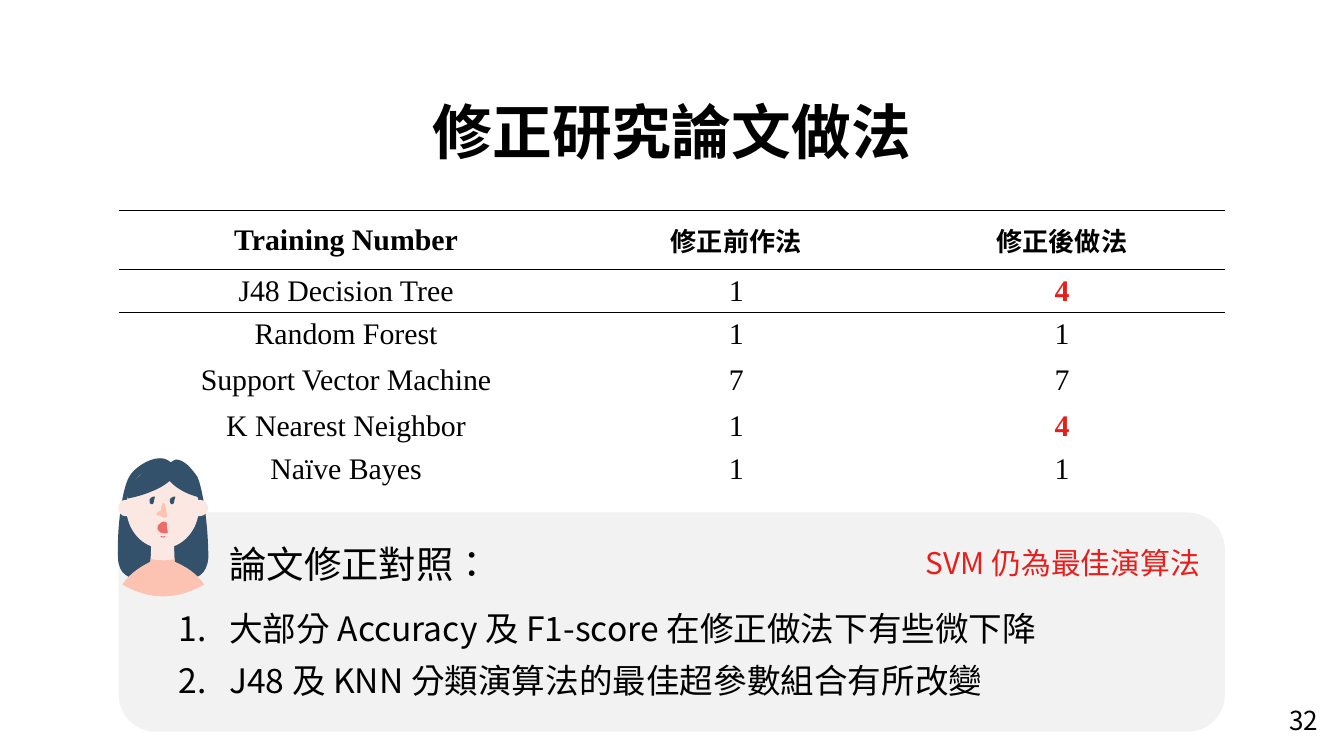
from lxml.etree import SubElement
from pptx import Presentation
from pptx.dml.color import RGBColor
from pptx.enum.lang import MSO_LANGUAGE_ID
from pptx.enum.shapes import MSO_SHAPE
from pptx.enum.text import MSO_ANCHOR, MSO_AUTO_SIZE, PP_ALIGN
from pptx.oxml.ns import qn
from pptx.util import Pt

COLORS = {"black": "000000", "red": "E71F1C", "panel": "F2F2F2", "hair": "34516C",
          "skin": "FCE8E3", "blush": "FDC3B2", "lips": "EF6C6A"}
SANS, SERIF = "Noto Sans CJK JP", "Times New Roman"
NO_STYLE = "{2D5ABB26-0587-4C30-8999-92F81FD0307C}"


def add_run(paragraph, text, size, font=SANS, color="black", bold=False):
    run = paragraph.add_run()
    run.text = text
    run.font.size, run.font.bold, run.font.name = Pt(size), bold, font
    run.font.language_id = MSO_LANGUAGE_ID.TRADITIONAL_CHINESE
    run.font.color.rgb = RGBColor.from_string(COLORS[color])
    SubElement(run.font._element, qn("a:ea"), typeface=font)


def draw_part(shapes, color, start, segments, rotation=0, shift=0):
    corners = [(Pt(x + shift), Pt(y)) for x, y in [start] + [s[-2:] for s in segments]]
    builder = shapes.build_freeform(*corners[0])
    builder.add_line_segments(corners[1:], close=True)
    part = builder.convert_to_shape()
    for segment, node in zip(segments, list(part._element.iter(qn("a:lnTo")))):
        if len(segment) == 6:
            node.tag = qn("a:cubicBezTo")
            end = node[0]
            for x, y in (segment[:2], segment[2:4]):
                control = SubElement(node, qn("a:pt"), x=str(Pt(x + shift) - part.left),
                                     y=str(Pt(y) - part.top))
                end.addprevious(control)
    part.rotation = rotation
    part.shadow.inherit = False
    part.fill.solid()
    part.fill.fore_color.rgb = RGBColor.from_string(COLORS[color])
    part.line.fill.background()


prs = Presentation()
prs.slide_width, prs.slide_height = Pt(720), Pt(405)
slide = prs.slides.add_slide(prs.slide_layouts[1])

title = slide.shapes.title
title.left, title.top, title.width, title.height = Pt(0), Pt(47), Pt(720), Pt(46)
title.text_frame.auto_size = MSO_AUTO_SIZE.NONE
title.text_frame.paragraphs[0].alignment = PP_ALIGN.CENTER
add_run(title.text_frame.paragraphs[0], "修正研究論文做法", 32, bold=True)

results = [
    ("Training Number", "修正前作法", "修正後做法"),
    ("J48 Decision Tree", "1", "4"),
    ("Random Forest", "1", "1"),
    ("Support Vector Machine", "7", "7"),
    ("K Nearest Neighbor", "1", "4"),
    ("Naïve Bayes", "1", "1"),
]
row_heights = [31.7, 23, 23, 26.6, 23, 23]
table = slide.shapes.add_table(6, 3, Pt(63.6), Pt(112.8), Pt(592.6), Pt(150.3)).table
table.first_row = table.horz_banding = False
table._tbl.tblPr.find(qn("a:tableStyleId")).text = NO_STYLE
for column, width in zip(table.columns, (243.6, 174.5, 174.5)):
    column.width = Pt(width)
for r, (values, height) in enumerate(zip(results, row_heights)):
    table.rows[r].height = Pt(height)
    for c, value in enumerate(values):
        cell = table.cell(r, c)
        cell.vertical_anchor = MSO_ANCHOR.MIDDLE
        if r > 0:
            cell.margin_left = cell.margin_right = Pt(5.8)
            cell.margin_top = cell.margin_bottom = Pt(0)
        for edge in [("lnT", "lnB"), ("lnT",)][r] if r < 2 else ():
            border = SubElement(cell._tc.get_or_add_tcPr(), qn(f"a:{edge}"), w=str(Pt(1)))
            SubElement(SubElement(border, qn("a:solidFill")), qn("a:srgbClr"),
                       val=COLORS["black"])
        cell.fill.background()
        paragraph = cell.text_frame.paragraphs[0]
        paragraph.alignment = PP_ALIGN.CENTER
        chinese_header = r == 0 and c > 0
        changed = r > 0 and c == 2 and value != values[1]
        add_run(paragraph, value, 14 if chinese_header else 16,
                SANS if chinese_header else SERIF,
                "red" if changed else "black", r == 0 or changed)

panel = slide.shapes.add_shape(MSO_SHAPE.ROUNDED_RECTANGLE, Pt(63.6), Pt(274.5),
                               Pt(592.6), Pt(117.5))
panel.adjustments[0] = 0.17
panel.shadow.inherit = False
panel.fill.solid()
panel.fill.fore_color.rgb = RGBColor.from_string(COLORS["panel"])
panel.line.fill.background()

findings = slide.placeholders[1]
findings.left, findings.top, findings.width, findings.height = Pt(88.6), Pt(286.3), Pt(542), Pt(93.6)
findings.element.addprevious(panel.element)
findings.text_frame.auto_size = MSO_AUTO_SIZE.NONE
lines = [("論文修正對照：", 20, 12),
         ("大部分 Accuracy 及 F1-score 在修正做法下有些微下降", 18, 6),
         ("J48 及 KNN 分類演算法的最佳超參數組合有所改變", 18, 6)]
for i, (text, size, after) in enumerate(lines):
    paragraph = findings.text_frame.add_paragraph() if i else findings.text_frame.paragraphs[0]
    paragraph.space_before, paragraph.space_after = Pt(0), Pt(after)
    properties = paragraph._p.get_or_add_pPr()
    properties.set("marL", str(Pt(27)))
    properties.set("indent", str(Pt(-27 if i else 0)))
    if i:
        SubElement(properties, qn("a:buFont"), typeface=SANS)
        SubElement(properties, qn("a:buAutoNum"), type="arabicPeriod")
    else:
        SubElement(properties, qn("a:buNone"))
    add_run(paragraph, text, size)

woman = slide.shapes.add_group_shape().shapes
draw_part(woman, "hair", (85.7, 245.5), [
    (79.2, 245.5, 71.3, 251.3, 69.1, 255.6), (65.5, 262.1, 62.6, 281.5, 63.2, 298.8),
    (63.4, 308.2, 69.8, 310.3, 75.6, 310.3), (80.6, 310.3, 85.7, 308.9, 87.1, 308.9),
    (88.6, 308.9, 93.6, 310.3, 99.4, 310.3), (105.1, 310.3, 110.9, 308.2, 111.6, 298.8),
    (111.6, 281.5, 108.7, 262.1, 105.8, 255.6), (103, 251.3, 98.6, 246.2, 94.3, 246.2),
    (93.6, 246.2, 92.9, 247, 91.4, 247.7), (90, 246.2, 87.8, 245.5, 85.7, 245.5)])
draw_part(woman, "skin", (81.4, 284.4), [
    (80.6, 301.7), (80.6, 305.3, 83.5, 308.2, 87.1, 308.2),
    (90.7, 308.2, 93.6, 305.3, 93.6, 301.7), (92.9, 284.4)])
draw_part(woman, "skin", (87.1, 249.8), [
    (76.3, 249.8, 67.7, 259.9, 67.7, 272.2), (67.7, 283.7, 76.3, 293.8, 87.1, 293.8),
    (97.9, 293.8, 106.6, 283.7, 106.6, 272.2), (106.6, 259.9, 97.9, 249.8, 87.1, 249.8)])
draw_part(woman, "skin", (103.7, 267.8), [
    (103.7, 276.5), (107.3, 276.5), (109.4, 276.5, 111.6, 274.3, 111.6, 272.2),
    (111.6, 270, 109.4, 267.8, 107.3, 267.8)])
draw_part(woman, "skin", (67, 267.8), [
    (64.8, 267.8, 63.4, 270, 63.4, 272.2), (63.4, 274.3, 64.8, 276.5, 67, 276.5),
    (71.3, 276.5), (71.3, 267.8)])
draw_part(woman, "hair", (82.8, 248.4), [
    (77, 252.7), (72.7, 257), (67.7, 262.1), (68.4, 267.1),
    (68.4, 267.1, 93.6, 262.8, 95.8, 249.8)])
draw_part(woman, "hair", (92.9, 249.8), [
    (87.1, 249.8), (89.3, 262.8, 106.6, 266.4, 106.6, 266.4),
    (106.6, 262.1), (103.7, 257), (100.1, 252.7)])
draw_part(woman, "blush", (93.6, 299.5), [
    (91.4, 300.2, 89.3, 300.2, 87.1, 300.2), (83.5, 300.2, 81.4, 299.5, 80.6, 299.5),
    (80.6, 301), (76.3, 303.1, 69.8, 306.7, 65.5, 313.2),
    (72, 316.8, 79.2, 319.5, 87.1, 319.5), (95.8, 319.5, 103, 316.8, 109.4, 313.2),
    (105.1, 306.7, 98.6, 303.1, 93.6, 301)])
draw_part(woman, "blush", (87.1, 269.3), [
    (87.1, 269.3, 87.1, 269.3, 87.8, 270), (87.8, 270, 90, 275, 90, 276.5),
    (89.3, 277.2, 89.3, 277.2, 88.6, 277.2), (87.8, 277.2, 86.4, 276.5, 86.4, 276.5),
    (86.4, 276.5, 85, 276.5, 84.2, 276.5), (83.5, 275, 86.4, 273.6, 86.4, 273.6),
    (86.4, 273.6, 85.7, 269.3, 87.1, 269.3)], 9.7)
draw_part(woman, "lips", (87.8, 279.4), [
    (88.6, 279.4, 89.3, 280.1, 89.3, 280.1), (90, 280.8, 89.3, 280.8, 89.3, 282.2),
    (89.3, 283.7, 90.7, 285.1, 89.3, 285.8), (88.6, 285.8, 87.8, 285.8, 87.8, 285.8),
    (85.7, 285.8, 83.5, 283.7, 84.6, 281.5), (85.7, 280.1, 87.1, 279.4, 87.8, 279.4)])
draw_part(woman, "lips", (86, 287.2), [
    (86.8, 287.5, 88, 287.5, 88.6, 287.2), (88.6, 287.7, 88, 288, 87.5, 288),
    (86.4, 288, 85.5, 287.5, 86, 287.2)])
for eye_shift in (0, 10.9):
    draw_part(woman, "hair", (81.4, 266.4), [
        (81, 266.4, 80.6, 266.4, 80.4, 267), (80.2, 267.6, 79.2, 270, 81.4, 270),
        (82.2, 270, 82, 268.6, 82.8, 267.8), (82.8, 267.1, 83.5, 266.9, 83.6, 266.4),
        (83.4, 266.2, 82.2, 265.9, 81.4, 266.4)], 345, eye_shift)

labels = [("32", 14, "black", PP_ALIGN.CENTER, (676.8, 373.7, 43.2, 31)),
          ("SVM 仍為最佳演算法", 16, "red", PP_ALIGN.LEFT, (488.9, 288.3, 166.3, 26.6))]
for text, size, color, alignment, box in labels:
    frame = slide.shapes.add_textbox(*[Pt(length) for length in box]).text_frame
    frame.word_wrap = True
    frame.paragraphs[0].alignment = alignment
    add_run(frame.paragraphs[0], text, size, color=color)

prs.save("out.pptx")
